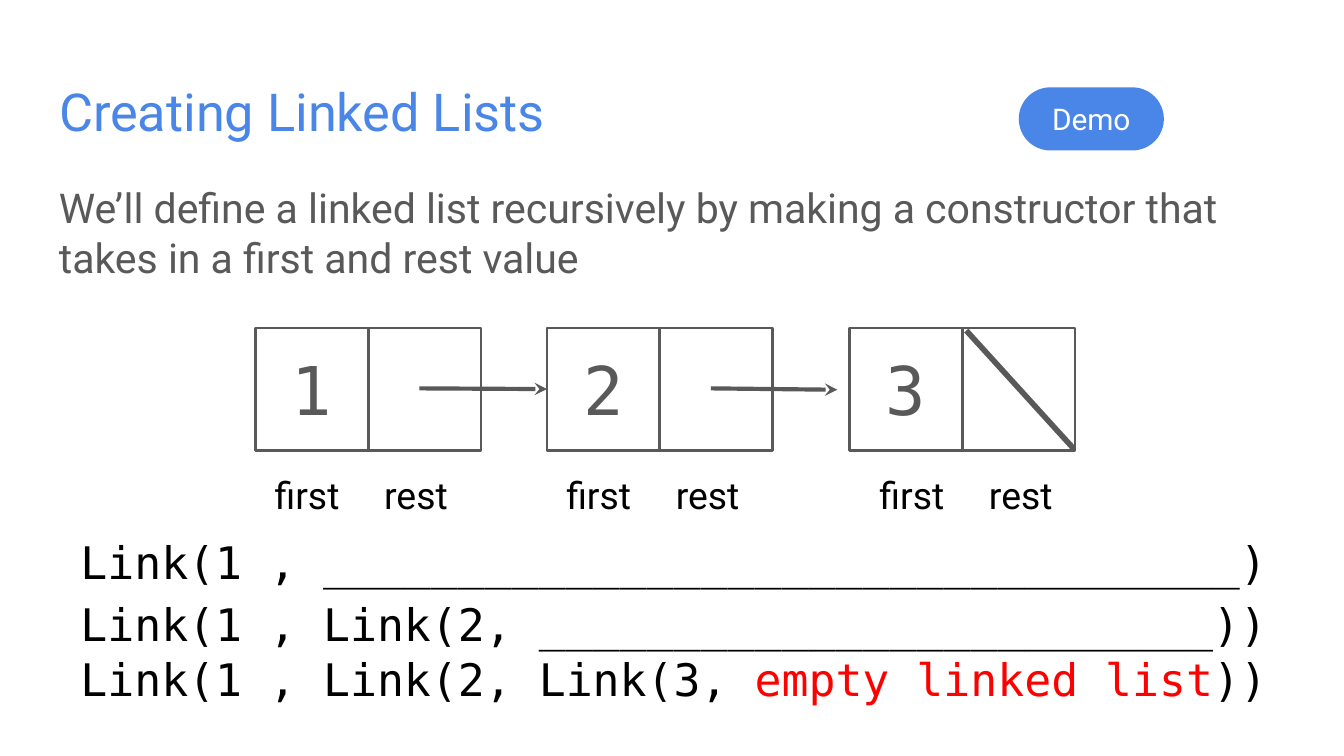
from lxml import etree
from pptx import Presentation
from pptx.dml.color import RGBColor
from pptx.enum.shapes import MSO_CONNECTOR, MSO_SHAPE
from pptx.enum.text import MSO_ANCHOR, MSO_AUTO_SIZE, PP_ALIGN
from pptx.oxml.ns import qn
from pptx.util import Inches, Pt

RECTANGLE = MSO_SHAPE.RECTANGLE
ROUNDED = MSO_SHAPE.ROUNDED_RECTANGLE
STRAIGHT = MSO_CONNECTOR.STRAIGHT
LEFT, CENTER = PP_ALIGN.LEFT, PP_ALIGN.CENTER
TOP, MIDDLE = MSO_ANCHOR.TOP, MSO_ANCHOR.MIDDLE
LEFT_SIDE = 1

COLORS = {"blue": "4A86E8", "gray": "595959", "black": "000000",
          "red": "FF0000", "white": "FFFFFF"}
SANS, MONO = "Roboto", "DejaVu Sans Mono"
CELL_WIDTH, CELL_HEIGHT = 0.84, 0.91
LABEL_WIDTH, LABEL_HEIGHT = 0.81, 0.4
CODE_HEIGHT = 1.46


def color(name):
    return RGBColor.from_string(COLORS[name])


def write(shape, runs, size, font, align=LEFT, anchor=TOP):
    """Fill a shape with one paragraph of (text, color name) runs."""
    frame = shape.text_frame
    frame.word_wrap = True
    frame.auto_size = MSO_AUTO_SIZE.NONE
    frame.vertical_anchor = anchor
    frame.margin_left = frame.margin_right = Inches(0.1)
    frame.margin_top = frame.margin_bottom = Inches(0.1)
    paragraph = frame.paragraphs[0]
    paragraph.alignment = align
    paragraph.font.size = Pt(size)
    paragraph.font.name = font
    for text, color_name in runs:
        run = paragraph.add_run()
        run.text = text
        run.font.color.rgb = color(color_name)


def add_text(slide, box, runs, size, font, align=LEFT):
    shape = slide.shapes.add_textbox(*map(Inches, box))
    write(shape, runs, size, font, align)


def add_line(slide, start, end, width, arrow=False):
    line = slide.shapes.add_connector(STRAIGHT, *map(Inches, start + end))
    line.line.color.rgb = color("gray")
    line.line.width = Pt(width)
    if arrow:
        etree.SubElement(line.line._get_or_add_ln(), qn("a:tailEnd"), type="stealth")
    etree.SubElement(line._element.spPr, qn("a:effectLst"))
    return line


def add_title(slide, box):
    title = slide.shapes.title
    title.left, title.top, title.width, title.height = map(Inches, box)
    write(title, [("Creating Linked Lists", "blue")], 28, SANS)


def add_demo_button(slide, box):
    button = slide.shapes.add_shape(ROUNDED, *map(Inches, box))
    button.adjustments[0] = 0.5
    button.shadow.inherit = False
    button.fill.solid()
    button.fill.fore_color.rgb = color("blue")
    button.line.fill.background()
    write(button, [("Demo", "white")], 16, SANS, CENTER, MIDDLE)


def add_node(slide, left, top, value, label_offset):
    """Draw a first/rest pair with its labels; return the first cell."""
    group = slide.shapes.add_group_shape()
    cells = []
    for column in range(2):
        cell = group.shapes.add_shape(
            RECTANGLE, Inches(left + column * CELL_WIDTH), Inches(top),
            Inches(CELL_WIDTH), Inches(CELL_HEIGHT))
        cell.shadow.inherit = False
        cell.fill.background()
        cell.line.color.rgb = color("gray")
        cell.line.width = Pt(1.5)
        cells.append(cell)
    write(cells[0], [(value, "gray")], 36, MONO, CENTER, MIDDLE)
    for column, label in enumerate(("first", "rest")):
        label_left = left + label_offset + column * LABEL_WIDTH
        add_text(slide, (label_left, top + 0.97, LABEL_WIDTH, LABEL_HEIGHT),
                 [(label, "black")], 20, SANS, CENTER)
    return cells[0]


def add_linked_list(slide, left, top):
    offsets = (0, 2.17, 4.42)
    label_offsets = (-0.02, -0.02, 0.06)
    first_cells = [
        add_node(slide, left + offset, top, str(number), label_offset)
        for number, (offset, label_offset) in enumerate(zip(offsets, label_offsets), 1)]

    # Arrows from each rest cell towards the next node
    arrows = []
    for offset in offsets[:2]:
        start = left + offset + 1.22
        arrows.append(add_line(slide, (start, top + 0.45),
                               (start + 0.94, top + 0.46), 2.25, arrow=True))
    arrows[0].end_connect(first_cells[1], LEFT_SIDE)

    # Slash for the empty rest of the last node
    add_line(slide, (left + 5.29, top + 0.02), (left + 6.09, top + 0.9), 3)


def add_code(slide, left, top, width):
    lines = (
        (0, [("Link(1 , __________________________________)", "black")]),
        (0.46, [("Link(1 , Link(2, _________________________))", "black")]),
        (0.87, [("Link(1 , Link(2, Link(3, ", "black"),
                ("empty linked list", "red"), ("))", "black")]),
    )
    for offset, runs in lines:
        add_text(slide, (left, top + offset, width, CODE_HEIGHT), runs, 24, MONO)


def main():
    presentation = Presentation()
    # Widescreen page, 16:9
    presentation.slide_width = Inches(10)
    presentation.slide_height = Inches(10 * 9 / 16)
    slide = presentation.slides.add_slide(presentation.slide_layouts[5])
    slide.background.fill.solid()
    slide.background.fill.fore_color.rgb = color("white")

    add_title(slide, (0.34, 0.49, 9.32, 0.63))
    add_text(slide, (0.34, 1.26, 9.32, 1.27),
             [("We’ll define a linked list recursively by making a constructor "
               "that takes in a first and rest value", "gray")], 22, SANS)
    add_linked_list(slide, 1.9, 2.44)
    add_code(slide, 0.5, 3.88, 9.16)
    add_demo_button(slide, (7.58, 0.65, 1.08, 0.47))
    presentation.save("out.pptx")


if __name__ == "__main__":
    main()
